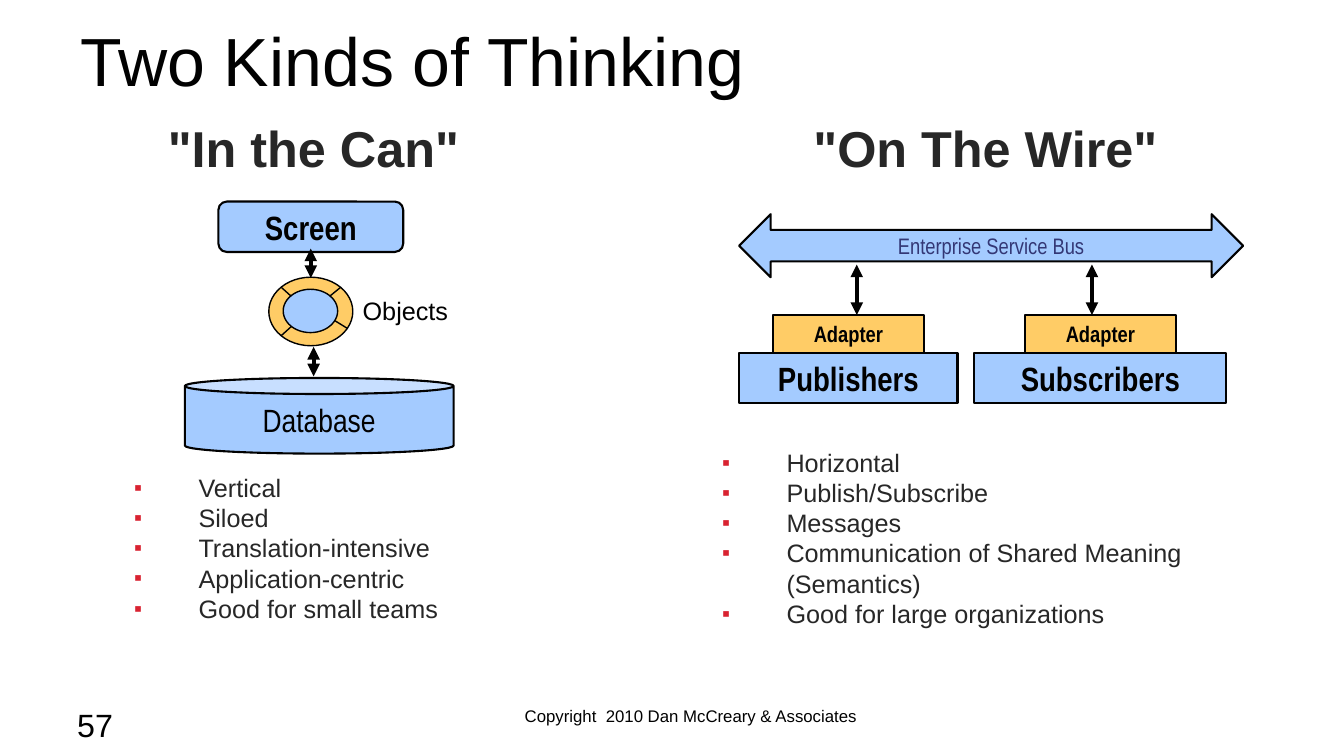
from dataclasses import dataclass
from typing import Optional

from lxml.etree import SubElement
from pptx import Presentation
from pptx.dml.color import RGBColor
from pptx.enum.shapes import MSO_CONNECTOR as Connector, MSO_SHAPE as Preset
from pptx.enum.text import MSO_ANCHOR as Anchor, MSO_AUTO_SIZE as AutoSize, PP_ALIGN as Align
from pptx.oxml.ns import qn
from pptx.util import Inches, Pt

WIDTH, HEIGHT = Inches(13.333), Inches(7.5)
COLUMNS, ROWS = 80, 45

BLACK = RGBColor(0x01, 0x01, 0x01)
CHARCOAL = RGBColor(0x27, 0x27, 0x27)
NAVY = RGBColor(0x33, 0x37, 0x75)
BLUE = RGBColor(0xA4, 0xCB, 0xFF)
AMBER = RGBColor(0xFF, 0xCC, 0x66)
RED = RGBColor(0xD9, 0x22, 0x31)


@dataclass(frozen=True)
class Area:
    """A place on the slide, in grid columns and rows."""
    column: float
    row: float
    columns: float
    rows: float


@dataclass(frozen=True)
class Style:
    size: float
    color: RGBColor = BLACK
    bold: bool = False
    font: str = "Arial"
    align: Align = Align.LEFT
    anchor: Anchor = Anchor.TOP
    insets: tuple[float, float] = (0.1, 0.05)
    line_spacing: Optional[float] = None
    bulleted: bool = False
    wrap: bool = True


@dataclass(frozen=True)
class TextBlock:
    area: Area
    style: Style
    lines: tuple[str, ...]


@dataclass(frozen=True)
class Part:
    preset: Preset
    area: Area
    fill: RGBColor
    label: str = ""
    style: Optional[Style] = None
    outline: float = 1.5
    adjustment: Optional[float] = None


@dataclass(frozen=True)
class Link:
    start: tuple[float, float]
    end: tuple[float, float]
    width: float = 3
    arrows: bool = True


def shape_style(size: float, bold: bool = True, color: RGBColor = BLACK) -> Style:
    return Style(size, color, bold, "Arial Narrow", Align.CENTER, Anchor.MIDDLE)


BODY_INSETS = (0.13, 0.06)
TITLE = Style(48.6, insets=BODY_INSETS, line_spacing=58)
HEADING = Style(36, CHARCOAL, True, align=Align.CENTER, anchor=Anchor.BOTTOM, insets=BODY_INSETS)
BULLETS = Style(18, CHARCOAL, insets=BODY_INSETS, line_spacing=21.6, bulleted=True)
BOX, ADAPTER = shape_style(24), shape_style(16)

TITLE_BLOCK = TextBlock(Area(4, 0.75, 72, 4.5), TITLE, ("Two Kinds of Thinking",))

TEXT_BLOCKS = (
    TextBlock(Area(1, 6.75, 35.33, 4.2), HEADING, ('"In the Can"',)),
    TextBlock(Area(6, 27.75, 29, 11.7), BULLETS, (
        "Vertical", "Siloed", "Translation-intensive", "Application-centric",
        "Good for small teams")),
    TextBlock(Area(41, 6.75, 35.33, 4.2), HEADING, ('"On The Wire"',)),
    TextBlock(Area(41, 26.25, 35.33, 14.7), BULLETS, (
        "Horizontal", "Publish/Subscribe", "Messages",
        "Communication of Shared Meaning (Semantics)", "Good for large organizations")),
    TextBlock(Area(4, 41.7, 18.67, 2.4), Style(23), ("57",)),
    TextBlock(Area(21.06, 41.7, 40.14, 2.4), Style(12, align=Align.CENTER),
              ("Copyright  2010 Dan McCreary & Associates",)),
    TextBlock(Area(21, 17.28, 6.36, 2.4), Style(18, wrap=False), ("Objects",)),
)

PARTS = (
    Part(Preset.LEFT_RIGHT_ARROW, Area(44, 12.75, 30, 3.75), BLUE,
         "Enterprise Service Bus", shape_style(16, False, NAVY)),
    Part(Preset.ROUNDED_RECTANGLE, Area(13, 12, 11, 3), BLUE, "Screen", BOX),
    Part(Preset.CAN, Area(11, 22.5, 16, 4.5), BLUE, "Database", shape_style(23, False),
         adjustment=0.212),
    Part(Preset.OVAL, Area(16, 16.5, 5, 4.08), AMBER, outline=1),
    Part(Preset.OVAL, Area(16.86, 17.22, 3.24, 2.58), BLUE, outline=1),
    Part(Preset.RECTANGLE, Area(44, 21, 13, 3), BLUE, "Publishers", BOX),
    Part(Preset.RECTANGLE, Area(58, 21, 15, 3), BLUE, "Subscribers", BOX),
    *(Part(Preset.RECTANGLE, Area(column, 18.75, 9, 2.25), AMBER, "Adapter", ADAPTER)
      for column in (46, 61)),
)

RING_SPOKES = tuple(Link(start, end, 1, False) for start, end in (
    ((16.74, 17.1), (17.34, 17.64)),
    ((16.74, 19.98), (17.34, 19.44)),
    ((19.62, 17.64), (20.28, 17.1)),
    ((19.92, 19.08), (20.7, 19.56)),
))
ARROWS = (
    *(Link((column, 15.75), (column, 18.75)) for column in (51, 65)),
    Link((18.5, 14.8), (18.5, 16.55)),
    Link((18.67, 20.65), (18.67, 22.4)),
)


def across(columns: float) -> int:
    return round(WIDTH * columns / COLUMNS)


def down(rows: float) -> int:
    return round(HEIGHT * rows / ROWS)


def bounds(area: Area) -> tuple[int, int, int, int]:
    return across(area.column), down(area.row), across(area.columns), down(area.rows)


def add_bullet(paragraph) -> None:
    properties = paragraph._p.get_or_add_pPr()
    properties.set("marL", str(Inches(0.84)))
    properties.set("indent", str(Inches(-0.64)))
    color = SubElement(properties, qn("a:buClr"))
    SubElement(color, qn("a:srgbClr")).set("val", str(RED))
    SubElement(properties, qn("a:buSzPct")).set("val", "90000")
    SubElement(properties, qn("a:buFont")).set("typeface", "Arial")
    SubElement(properties, qn("a:buChar")).set("char", "▪")


def write_text(shape, lines: tuple[str, ...], style: Style) -> None:
    frame = shape.text_frame
    frame.auto_size = AutoSize.NONE
    frame.word_wrap = style.wrap
    frame.vertical_anchor = style.anchor
    frame.margin_left = frame.margin_right = Inches(style.insets[0])
    frame.margin_top = frame.margin_bottom = Inches(style.insets[1])
    for index, line in enumerate(lines):
        paragraph = frame.add_paragraph() if index else frame.paragraphs[0]
        if style.bulleted:
            add_bullet(paragraph)
        paragraph.alignment = style.align
        if style.line_spacing:
            paragraph.line_spacing = Pt(style.line_spacing)
        run = paragraph.add_run()
        run.text = line
        run.font.name, run.font.size, run.font.bold = style.font, Pt(style.size), style.bold
        run.font.color.rgb = style.color


def add_part(slide, part: Part) -> None:
    shape = slide.shapes.add_shape(part.preset, *bounds(part.area))
    shape.shadow.inherit = False
    shape.fill.solid()
    shape.fill.fore_color.rgb = part.fill
    shape.line.color.rgb = BLACK
    shape.line.width = Pt(part.outline)
    if part.adjustment is not None:
        shape.adjustments[0] = part.adjustment
    if part.style:
        write_text(shape, (part.label,), part.style)


def add_link(slide, link: Link) -> None:
    (start_column, start_row), (end_column, end_row) = link.start, link.end
    connector = slide.shapes.add_connector(
        Connector.STRAIGHT, across(start_column), down(start_row),
        across(end_column), down(end_row))
    connector.line.color.rgb = BLACK
    connector.line.width = Pt(link.width)
    properties = connector._element.spPr
    if link.arrows:
        for end in ("a:headEnd", "a:tailEnd"):
            SubElement(properties.find(qn("a:ln")), qn(end)).set("type", "triangle")
    SubElement(properties, qn("a:effectLst"))


def main() -> None:
    presentation = Presentation()
    presentation.slide_width, presentation.slide_height = WIDTH, HEIGHT
    slide = presentation.slides.add_slide(presentation.slide_layouts.get_by_name("Title Only"))
    title = slide.shapes.title
    title.left, title.top, title.width, title.height = bounds(TITLE_BLOCK.area)
    write_text(title, TITLE_BLOCK.lines, TITLE_BLOCK.style)
    for block in TEXT_BLOCKS:
        write_text(slide.shapes.add_textbox(*bounds(block.area)), block.lines, block.style)
    for part in PARTS:
        add_part(slide, part)
    for link in RING_SPOKES + ARROWS:
        add_link(slide, link)
    presentation.save("out.pptx")


if __name__ == "__main__":
    main()
